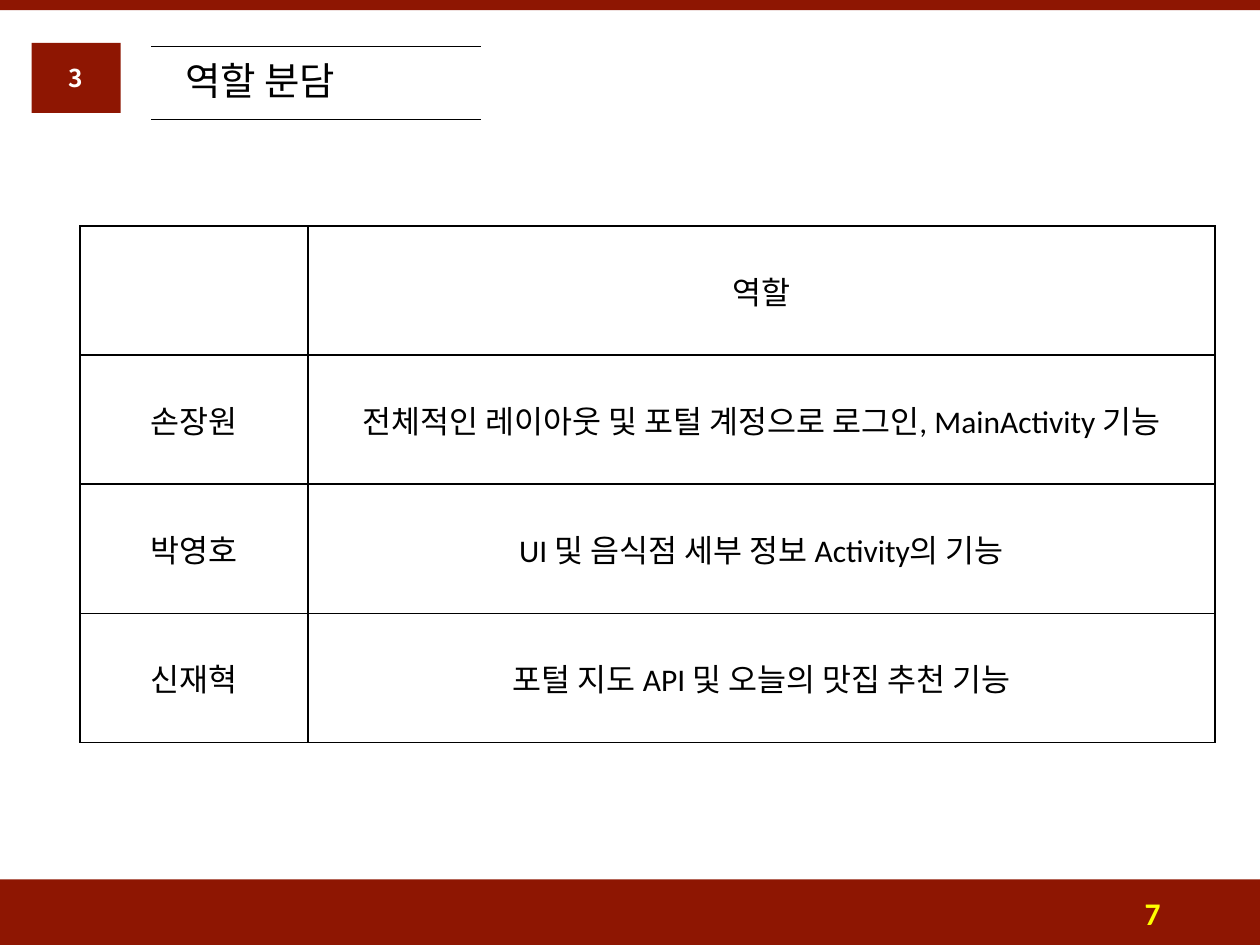
import pptx
import pptx.dml.color
import pptx.enum.shapes
import pptx.enum.text
import pptx.oxml.ns
import pptx.util
from lxml import etree

Pt = pptx.util.Pt
Align = pptx.enum.text.PP_ALIGN
Anchor = pptx.enum.text.MSO_ANCHOR
qn = pptx.oxml.ns.qn

COLORS = {"brick": "8E1602", "ink": "000000", "paper": "FFFFFF", "number": "FFFF00"}
HANGUL = "Noto Sans CJK KR"
LATIN = "Calibri"


def rgb(name):
    return pptx.dml.color.RGBColor.from_string(COLORS[name])


class PageBuilder:
    """Holds the style and the current slide."""

    def __init__(self, deck):
        self.page = deck.slides.add_slide(deck.slide_layouts[5])

    def add_text(self, frame, text, size, color="ink", font=LATIN, bold=False,
                 align=Align.LEFT):
        para = frame.paragraphs[0]
        para.alignment = align
        span = para.add_run()
        span.text = text
        span.font.size = Pt(size)
        span.font.bold = bold
        span.font.color.rgb = rgb(color)
        span.font.name = font
        etree.SubElement(span.font._element, qn("a:ea"), typeface=HANGUL)

    def block(self, left, top, width, height):
        box = self.page.shapes.add_shape(
            pptx.enum.shapes.MSO_SHAPE.RECTANGLE,
            Pt(left), Pt(top), Pt(width), Pt(height))
        box.shadow.inherit = False
        box.fill.solid()
        box.fill.fore_color.rgb = rgb("brick")
        box.line.fill.background()
        box.text_frame.vertical_anchor = Anchor.MIDDLE
        return box

    def title(self, text, left, top, width, height):
        box = self.page.shapes.title
        box.left, box.top, box.width, box.height = map(Pt, (left, top, width, height))
        frame = box.text_frame
        frame.vertical_anchor = Anchor.TOP
        frame.auto_size = pptx.enum.text.MSO_AUTO_SIZE.SHAPE_TO_FIT_TEXT
        self.add_text(frame, text, 22, font=HANGUL)

    def label(self, text, left, top, width, height):
        box = self.page.shapes.add_textbox(Pt(left), Pt(top), Pt(width), Pt(height))
        frame = box.text_frame
        frame.word_wrap = True
        frame.vertical_anchor = Anchor.MIDDLE
        self.add_text(frame, text, 18, "number", bold=True, align=Align.RIGHT)

    def rule(self, left, right, top):
        line = self.page.shapes.add_connector(
            pptx.enum.shapes.MSO_CONNECTOR.STRAIGHT,
            Pt(left), Pt(top), Pt(right), Pt(top))
        line.line.color.rgb = rgb("ink")
        line.line.width = Pt(0.5)
        etree.SubElement(line._element.spPr, qn("a:effectLst"))

    def border(self, cell):
        props = cell._tc.get_or_add_tcPr()
        for place, side in enumerate(("lnL", "lnR", "lnT", "lnB")):
            edge = etree.Element(qn("a:" + side), w=str(Pt(1)))
            fill = etree.SubElement(edge, qn("a:solidFill"))
            etree.SubElement(fill, qn("a:srgbClr"), val=COLORS["ink"])
            props.insert(place, edge)

    def table(self, rows, left, top, widths, row_height):
        grid = self.page.shapes.add_table(
            len(rows), len(widths), Pt(left), Pt(top),
            Pt(sum(widths)), Pt(row_height * len(rows))).table
        for column, width in zip(grid.columns, widths):
            column.width = Pt(width)
        for row, texts in zip(grid.rows, rows):
            row.height = Pt(row_height)
            for cell, text in zip(row.cells, texts):
                cell.fill.background()
                cell.vertical_anchor = Anchor.MIDDLE
                self.border(cell)
                if text:
                    self.add_text(cell.text_frame, text, 18, align=Align.CENTER)


def main():
    deck = pptx.Presentation()
    deck.slide_width, deck.slide_height = Pt(720), Pt(540)
    builder = PageBuilder(deck)

    # Bands at the bottom and top edges
    builder.block(-0.5, 502.5, 721, 37.5)
    builder.block(-0.5, 0, 721, 5.8)

    # Section number, title and its rules
    badge = builder.block(18, 24.5, 51, 40)
    builder.add_text(badge.text_frame, "3", 14, "paper", HANGUL, True, Align.CENTER)
    builder.title("역할 분담", 98.6, 28.8, 164, 34)
    for top in (26.8, 68.2):
        builder.rule(86.4, 274.8, top)

    # Page number
    builder.label("7", 508.3, 507, 162, 29)

    # Roles of the team members
    roles = [
        ("", "역할"),
        ("손장원", "전체적인 레이아웃 및 포털 계정으로 로그인, MainActivity 기능"),
        ("박영호", "UI 및 음식점 세부 정보 Activity의 기능"),
        ("신재혁", "포털 지도 API 및 오늘의 맛집 추천 기능"),
    ]
    builder.table(roles, 45.8, 129, (130.3, 518.2), 73.85)

    deck.save("out.pptx")


if __name__ == "__main__":
    main()
